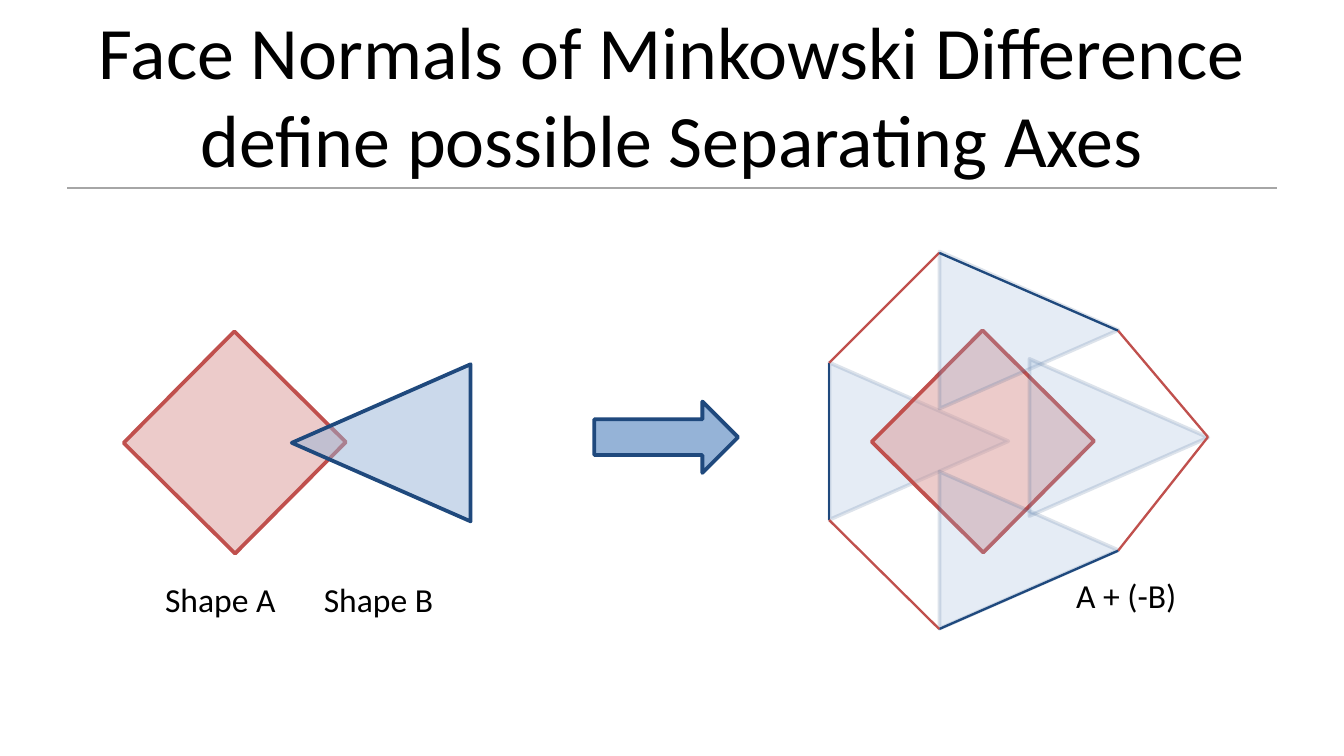
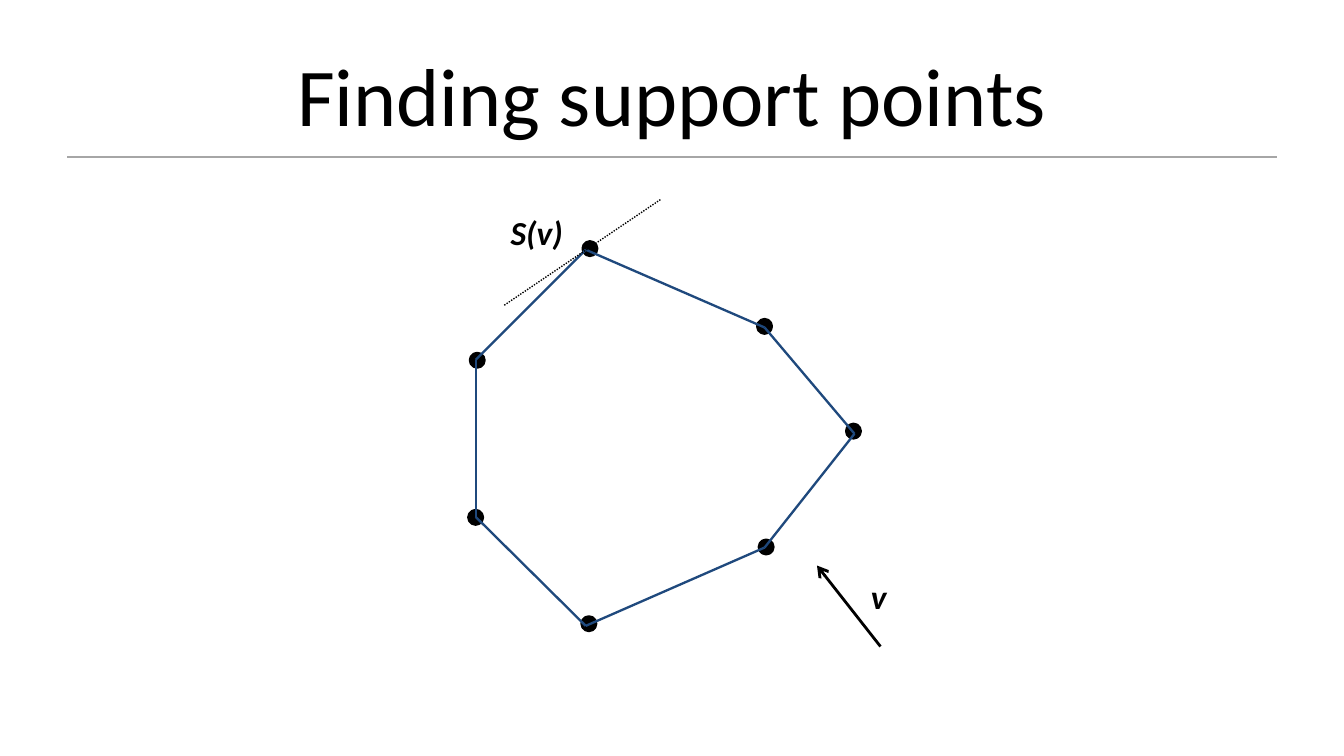
from pptx import Presentation
from pptx.dml.color import RGBColor
from pptx.enum.dml import MSO_LINE
from pptx.enum.shapes import MSO_CONNECTOR, MSO_SHAPE
from pptx.enum.text import MSO_ANCHOR, MSO_AUTO_SIZE, PP_ALIGN
from pptx.oxml.ns import qn
from pptx.util import Cm, Pt
from lxml.etree import SubElement
from dataclasses import dataclass


@dataclass(frozen=True)
class Theme:
    black: RGBColor = RGBColor.from_string("000000")
    navy: RGBColor = RGBColor.from_string("1F497D")
    blue: RGBColor = RGBColor.from_string("95B3D7")
    red: RGBColor = RGBColor.from_string("C0504D")
    pink: RGBColor = RGBColor.from_string("D99694")
    gray: RGBColor = RGBColor.from_string("A6A6A6")
    font: str = "Calibri"
    label: Pt = Pt(18)
    edge: Pt = Pt(1.25)
    rim: Pt = Pt(2)


look = Theme()


def write(slide, text, box, form, frame, align=PP_ALIGN.LEFT):
    body = slide.shapes.add_textbox(*map(Cm, box)).text_frame
    for key, val in frame.items():
        setattr(body, key, val)
    para = body.paragraphs[0]
    para.alignment = align
    run = para.add_run()
    run.text = text
    for key, val in {"name": look.font, **form}.items():
        setattr(run.font, key, val)
    run.font.color.rgb = look.black


def link(slide, start, end, color, form, head=None):
    line = slide.shapes.add_connector(
        MSO_CONNECTOR.STRAIGHT, *map(Cm, (*start, *end)))
    line.line.color.rgb = color
    for key, val in form.items():
        setattr(line.line, key, val)
    props = line._element.spPr
    if head:
        SubElement(props.find(qn("a:ln")), qn("a:tailEnd"), type=head)
    SubElement(props, qn("a:effectLst"))


deck = Presentation()
deck.slide_width, deck.slide_height = Cm(25.4), Cm(14.29)
blank = deck.slide_layouts[6]

slides = []
for title, size, rule in (
    ("Face Normals of Minkowski Difference define possible Separating Axes", 39.6, 3.56),
    ("Finding support points", 44, 2.97),
):
    slide = deck.slides.add_slide(blank)
    write(slide, title, (1.27, 0.58, 22.86, 2.39), {"size": Pt(size)},
          {"word_wrap": True, "vertical_anchor": MSO_ANCHOR.MIDDLE}, PP_ALIGN.CENTER)
    link(slide, (1.27, rule), (24.13, rule), look.gray, {"width": Pt(1)})
    slides.append(slide)
proof, search = slides

side, depth, dot = 2.97, 3.38, 0.25
ghost = (MSO_SHAPE.ISOSCELES_TRIANGLE, side, depth, 90, look.blue, look.navy, 24, 15)
prong = (MSO_SHAPE.ISOSCELES_TRIANGLE, side, depth, 270, look.blue, look.navy, 49, 100)
gem = (MSO_SHAPE.RECTANGLE, side, side, 44.8, look.pink, look.red, 49, 100)
arrow = (MSO_SHAPE.RIGHT_ARROW, 2.72, 1.35, 0, look.blue, look.navy, 100, 100)
point = (MSO_SHAPE.OVAL, dot, dot, 0, look.black, look.black, 100, 100)

forms = [
    (proof, ghost, 15.88, 6.65),
    (proof, gem, 17.09, 6.86),
    (proof, ghost, 17.96, 4.55),
    (proof, ghost, 17.96, 8.71),
    (proof, ghost, 19.66, 6.58),
    (proof, gem, 2.95, 6.88),
    (proof, arrow, 11.23, 7.59),
    (proof, prong, 5.72, 6.68),
]
dots = [(8.99, 9.78), (9.02, 6.81), (11.15, 4.7), (14.45, 6.17),
        (16.13, 8.15), (14.48, 10.34), (11.13, 11.79)]
forms += [(search, point, x - dot / 2, y - dot / 2) for x, y in dots]

for slide, kind, left, top in forms:
    model, width, height, turn, fill, rim, *alphas = kind
    shape = slide.shapes.add_shape(model, *map(Cm, (left, top, width, height)))
    shape.rotation = turn
    shape.shadow.inherit = False
    shape.fill.solid()
    shape.fill.fore_color.rgb = fill
    shape.line.color.rgb = rim
    shape.line.width = look.rim
    for tint, alpha in zip(shape._element.spPr.iter(qn("a:srgbClr")), alphas):
        if alpha < 100:
            SubElement(tint, qn("a:alpha"), val=str(alpha * 1000))

hull = [(15.67, 9.83), (15.67, 6.86), (17.75, 4.78), (21.13, 6.25),
        (22.83, 8.26), (21.13, 10.41), (17.75, 11.89)]
tints = [look.navy, look.red, look.navy, look.red, look.red, look.navy, look.red]
moved = [(x - 6.68, y - 0.06) for x, y in hull]
for slide, ring, hues in ((proof, hull, tints), (search, moved, [look.navy] * 7)):
    for start, end, hue in zip(ring, ring[1:] + ring[:1], hues):
        link(slide, start, end, hue, {"width": look.edge})

link(search, (16.64, 12.22), (15.44, 10.69), look.black, {"width": Pt(1.5)}, "arrow")
link(search, (9.53, 5.77), (12.5, 3.76), look.black,
     {"width": Pt(0.75), "dash_style": MSO_LINE.ROUND_DOT})

plain = {"size": look.label}
strong = {**plain, "bold": True, "italic": True}
for slide, text, left, top, width, form, wrap in (
    (proof, "Shape A", 2.87, 10.82, 2.62, plain, False),
    (proof, "Shape B", 5.87, 10.82, 2.62, plain, False),
    (proof, "A + (-B)", 20.09, 10.74, 2.44, plain, False),
    (search, "v", 16.21, 10.77, 0.84, strong, True),
    (search, "S(v)", 9.4, 3.89, 1.6, strong, True),
):
    write(slide, text, (left, top, width, 1.02), form,
          {"word_wrap": wrap, "auto_size": MSO_AUTO_SIZE.SHAPE_TO_FIT_TEXT})

deck.save("out.pptx")
